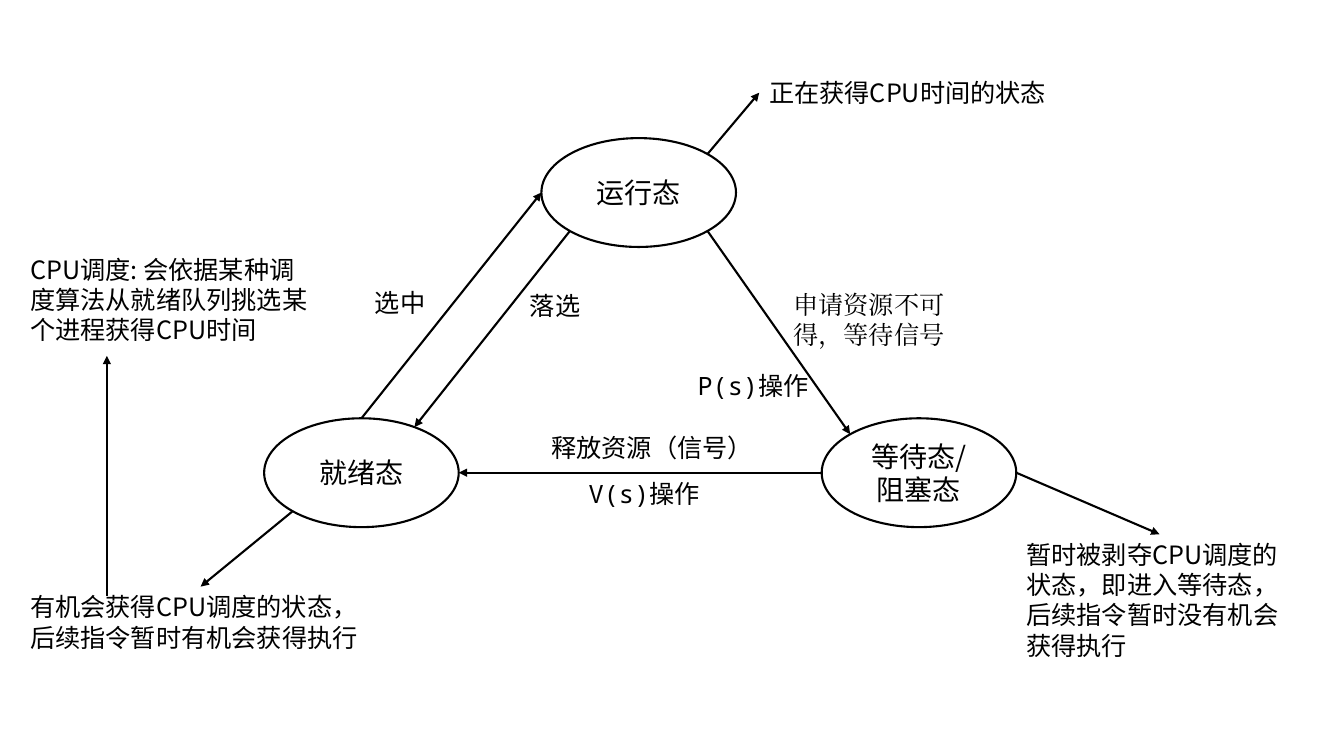
from dataclasses import dataclass
from math import cos, radians, sin

from lxml import etree
from pptx import Presentation
from pptx import util as u
from pptx.dml.color import RGBColor
from pptx.enum import shapes, text
from pptx.oxml import ns

# Grid: one-inch columns and rows
COLS, ROWS = 13.33, 7.5
CELL = u.Inches(1)
STATE_W, STATE_H = 1.93, 1.08
SANS, MONO, SERIF = "Noto Sans CJK SC", "Noto Sans Mono", "Times New Roman"
INK = "000000"


@dataclass
class State:
    name: str
    col: float
    row: float

    def rim(self, degrees: float) -> tuple[float, float]:
        """Point on the outline, counted anticlockwise from the right."""
        a = radians(degrees)
        return (self.col + STATE_W / 2 * (1 + cos(a)),
                self.row + STATE_H / 2 * (1 - sin(a)))


@dataclass
class Note:
    text: str
    col: float
    row: float
    cols: float
    rows: float = 0.4
    wrap: bool = True
    font: str = SANS
    code: str = ""
    align: text.PP_ALIGN = text.PP_ALIGN.LEFT


def grid(n: float) -> int:
    return round(n * CELL)


def color(value: str) -> RGBColor:
    return RGBColor.from_string(value)


def style_run(r, size: float, font: str) -> None:
    r.font.size = u.Pt(size)
    r.font.name = font
    r.font.color.rgb = color(INK)
    ea = etree.SubElement(r.font._element, ns.qn("a:ea"))
    ea.set("typeface", font)


def style_line(line) -> None:
    line.color.rgb = color(INK)
    line.width = u.Pt(1.5)


def add_state(s, state: State) -> None:
    sp = s.shapes.add_shape(shapes.MSO_SHAPE.OVAL, grid(state.col), grid(state.row),
                            grid(STATE_W), grid(STATE_H))
    sp.shadow.inherit = False
    sp.fill.background()
    style_line(sp.line)
    tf = sp.text_frame
    tf.margin_left = tf.margin_right = tf.margin_top = tf.margin_bottom = 0
    tf.vertical_anchor = text.MSO_ANCHOR.MIDDLE
    tf.text = state.name
    for p in tf.paragraphs:
        p.alignment = text.PP_ALIGN.CENTER
        style_run(p.runs[0], 20, SANS)


def add_note(s, note: Note) -> None:
    sp = s.shapes.add_textbox(grid(note.col), grid(note.row),
                              grid(note.cols), grid(note.rows))
    tf = sp.text_frame
    tf.word_wrap = note.wrap
    tf.auto_size = text.MSO_AUTO_SIZE.SHAPE_TO_FIT_TEXT
    tf.text = note.code or note.text
    for p in tf.paragraphs:
        p.alignment = note.align
        style_run(p.runs[0], 18, MONO if note.code else note.font)
    if note.code:
        r = tf.paragraphs[0].add_run()
        r.text = note.text
        style_run(r, 18, note.font)


def add_arrow(s, start: tuple[float, float], end: tuple[float, float]) -> None:
    cx = s.shapes.add_connector(shapes.MSO_CONNECTOR.STRAIGHT,
                                *map(grid, start + end))
    style_line(cx.line)
    sp_pr = cx._element.spPr
    tail = etree.SubElement(sp_pr.find(ns.qn("a:ln")), ns.qn("a:tailEnd"))
    tail.set("type", "triangle")
    etree.SubElement(sp_pr, ns.qn("a:effectLst"))


running = State("运行态", 5.37, 1.37)
ready = State("就绪态", 2.62, 4.15)
waiting = State("等待态/\n阻塞态", 8.15, 4.15)

ARROWS = [
    # Transitions between states
    (ready.rim(90), running.rim(180)),
    (running.rim(225), ready.rim(57)),
    (running.rim(315), waiting.rim(135)),
    (waiting.rim(180), ready.rim(0)),
    # Pointers to explanations
    (running.rim(45), (7.53, 0.92)),
    (waiting.rim(0), (11.5, 5.3)),
    (ready.rim(225), (1.99, 5.82)),
    ((1.06, 5.91), (1.06, 3.53)),
]

NOTES = [
    # Transition labels
    Note("申请资源不可\n得，等待信号", 7.77, 2.82, 1.72, 0.71, wrap=False, font=SERIF),
    Note("释放资源（信号）", 5.37, 4.24, 2.22, wrap=False),
    Note("选中", 3.62, 2.8, 0.71, wrap=False),
    Note("落选", 5.15, 2.83, 0.71, wrap=False, align=text.PP_ALIGN.CENTER),
    Note("操作", 6.82, 3.62, 1.41, code="P(s)"),
    Note("操作", 5.74, 4.7, 1.41, code="V(s)"),
    # Explanations
    Note("正在获得CPU时间的状态", 7.53, 0.72, 3.97),
    Note("CPU调度: 会依据某种调度算法从就绪队列挑选某个进程获得CPU时间",
         0.2, 2.47, 3.02, 1.01),
    Note("有机会获得CPU调度的状态，后续指令暂时有机会获得执行",
         0.2, 5.82, 3.57, 0.71),
    Note("暂时被剥夺CPU调度的状态，即进入等待态，后续指令暂时没有机会获得执行",
         10.08, 5.3, 2.84, 1.31),
]


def main() -> None:
    prs = Presentation()
    prs.slide_width, prs.slide_height = grid(COLS), grid(ROWS)
    s = prs.slides.add_slide(prs.slide_layouts[6])
    for state in (running, ready, waiting):
        add_state(s, state)
    for start, end in ARROWS:
        add_arrow(s, start, end)
    for note in NOTES:
        add_note(s, note)
    prs.save("out.pptx")


if __name__ == "__main__":
    main()
